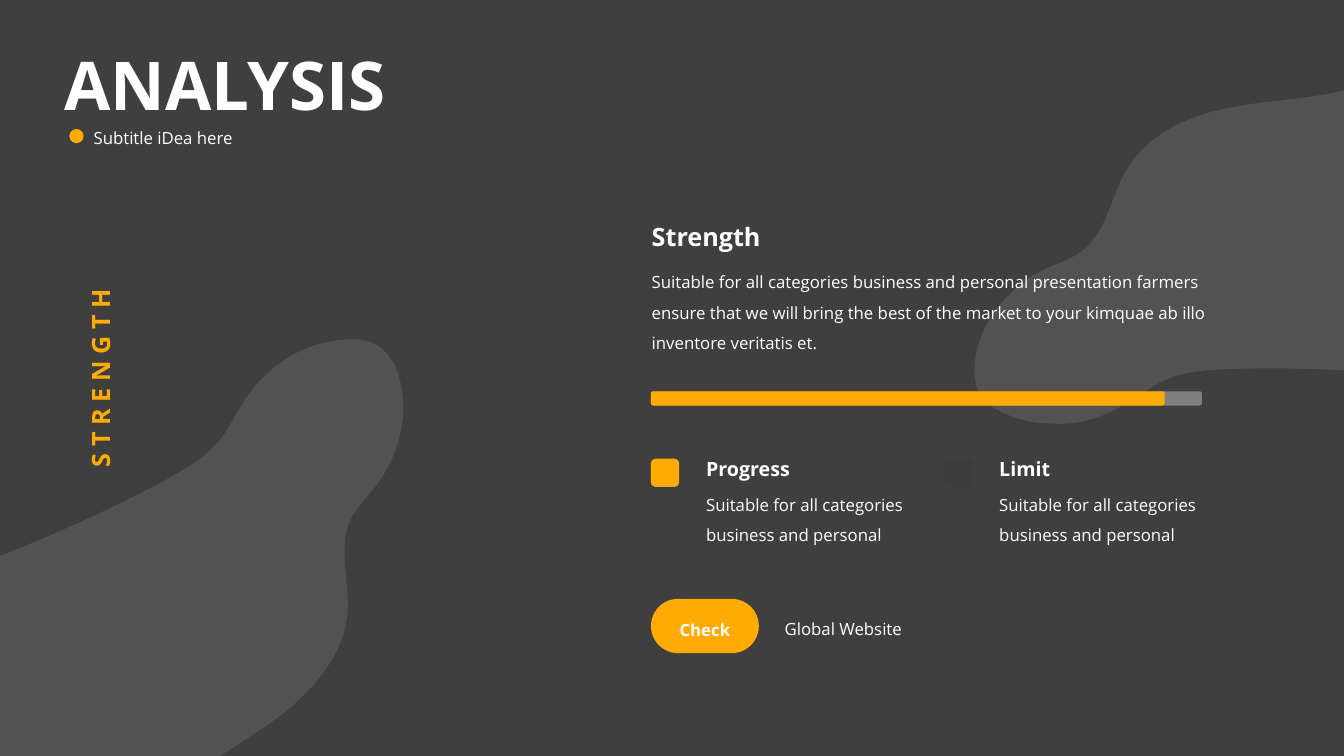
import pptx
import pptx.util
import pptx.enum.shapes
import pptx.enum.text
import pptx.dml.color
import pptx.oxml
import pptx.oxml.ns
from pptx.util import Cm

AMBER, WHITE, GREY = "FFAB03", "FFFFFF", "7F7F7F"
SHAPE = pptx.enum.shapes.MSO_SHAPE
ALIGN = pptx.enum.text.PP_ALIGN
ANCHOR = pptx.enum.text.MSO_ANCHOR
qn = pptx.oxml.ns.qn


def paint(fill, color):
    fill.solid()
    fill.fore_color.rgb = pptx.dml.color.RGBColor.from_string(color)


def write(holder, text, size, color=WHITE, bold=False, spacing=1.0,
          align=ALIGN.LEFT, anchor=ANCHOR.TOP):
    frame = holder.text_frame
    frame.word_wrap = True
    frame.auto_size = pptx.enum.text.MSO_AUTO_SIZE.NONE
    frame.vertical_anchor = anchor
    frame.text = text
    paragraph = frame.paragraphs[0]
    paragraph.alignment = align
    paragraph.line_spacing = spacing
    paragraph.space_before = pptx.util.Pt(0)
    font = paragraph.runs[0].font
    font.name = "Open Sans"
    font.size = pptx.util.Pt(size)
    font.bold = bold
    paint(font.fill, color)


deck = pptx.Presentation()
deck.slide_width, deck.slide_height = Cm(33.88), Cm(19.05)
slide = deck.slides.add_slide(deck.slide_layouts[5])
paint(slide.background.fill, "3F3F3F")
shapes = slide.shapes

left_blob = """301 347
280 356 261 372 247 391
236 406 229 423 218 437
203 455 183 466 163 477
73 525 -22 562 -119 596
-157 609 -196 623 -228 647
-234 652 -239 656 -244 661
-255 674
-191 818
138 902
123 862 144 816 174 786
204 756 243 736 277 711
311 685 342 649 345 607
347 576 335 543 348 515
354 504 362 496 370 486
398 452 410 402 391 361
388 356 384 350 379 346
369 337 355 336 342 337
328 338 314 341 301 347"""
right_blob = """1041 420
1064 422 1088 417 1109 405
1125 397 1139 385 1156 377
1176 368 1200 367 1223 366
1325 363 1426 373 1528 386
1568 391 1609 397 1649 389
1656 388 1662 386 1669 384
1685 378
1692 220
1435 -3
1430 40 1392 71 1351 85
1311 98 1267 98 1225 106
1183 113 1139 132 1118 169
1102 195 1099 230 1074 249
1065 256 1053 260 1041 265
1001 283 968 323 967 367
967 374 968 380 970 386
975 399 987 406 999 411
1013 417 1027 420 1041 420"""

for outline in (left_blob, right_blob):
    steps = []
    for line in outline.splitlines():
        numbers = [int(n) for n in line.split()]
        steps.append(list(zip(numbers[::2], numbers[1::2])))
    start, segments = steps[0][0], steps[1:]
    builder = shapes.build_freeform(*start, scale=Cm(2.54) / 100)
    builder.add_line_segments([p for s in segments for p in s], close=True)
    blob = builder.convert_to_shape()
    blob.shadow.inherit = False
    blob.line.fill.background()
    paint(blob.fill, GREY)
    tint = blob.fill._xPr.find(".//" + qn("a:srgbClr"))
    tint.append(pptx.oxml.parse_xml(
        '<a:alpha xmlns:a="http://schemas.openxmlformats.org/drawingml/2006/main" val="30000"/>'))
    corners = iter(list(blob._element.iter(qn("a:lnTo"))))
    for segment in segments:
        first = next(corners)
        if len(segment) == 3:
            curve = pptx.oxml.parse_xml(
                '<a:cubicBezTo xmlns:a="http://schemas.openxmlformats.org/drawingml/2006/main"/>')
            first.addprevious(curve)
            for corner in (first, next(corners), next(corners)):
                curve.append(corner[0])
                corner.getparent().remove(corner)

title = shapes.title
title.left, title.top, title.width, title.height = Cm(1.37), Cm(0.79), Cm(16.54), Cm(2.87)
write(title, "ANALYSIS", 48, bold=True, spacing=0.9, anchor=ANCHOR.MIDDLE)

solids = [
    (SHAPE.OVAL, 1.75, 3.25, 0.36, 0.36, AMBER, None),
    (SHAPE.ROUNDED_RECTANGLE, 16.41, 9.86, 13.89, 0.36, GREY, 0.167),
    (SHAPE.ROUNDED_RECTANGLE, 16.41, 9.86, 12.95, 0.36, AMBER, 0.167),
    (SHAPE.ROUNDED_RECTANGLE, 16.41, 15.09, 2.72, 1.37, AMBER, 0.5),
]
blurb = "Suitable for all categories business and personal"
story = (blurb + " presentation farmers ensure that we will bring the best of "
         "the market to your kimquae ab illo inventore veritatis et.")
heading = dict(bold=True, anchor=ANCHOR.MIDDLE)
body = dict(spacing=1.5)
texts = [
    (2.11, 3.15, 6.1, 0.71, "Subtitle iDea here", 12, dict(spacing=0.9)),
    (16.18, 5.46, 5.64, 1.02, "Strength", 18, heading),
    (16.18, 6.48, 15.49, 2.54, story, 12, body),
    (19.53, 15.21, 4.24, 1.02, "Global Website", 12, body),
    (-0.3, 9.02, 5.64, 1.02, "S T R E N G T H", 18,
     dict(heading, color=AMBER, align=ALIGN.CENTER)),
]
for column, (label, color) in enumerate([("Progress", AMBER), ("Limit", "3C3C3C")]):
    shift = column * 7.39
    solids.insert(-1, (SHAPE.ROUNDED_RECTANGLE, 16.41 + shift, 11.56, 0.71, 0.71, color, 0.167))
    texts.insert(-1, (17.55 + shift, 11.38, 5.64, 0.86, label, 14, heading))
    texts.insert(-1, (17.55 + shift, 12.09, 6.07, 1.78, blurb, 12, body))

for kind, left, top, width, height, color, rounding in solids:
    solid = shapes.add_shape(kind, Cm(left), Cm(top), Cm(width), Cm(height))
    solid.shadow.inherit = False
    solid.line.fill.background()
    paint(solid.fill, color)
    if rounding:
        solid.adjustments[0] = rounding
button = solid
write(button, "Check", 12, bold=True, spacing=1.35, align=ALIGN.CENTER, anchor=ANCHOR.MIDDLE)

for left, top, width, height, text, size, style in texts:
    box = shapes.add_textbox(Cm(left), Cm(top), Cm(width), Cm(height))
    write(box, text, size, **style)
side_label = box
side_label.rotation = 270

deck.save("out.pptx")
